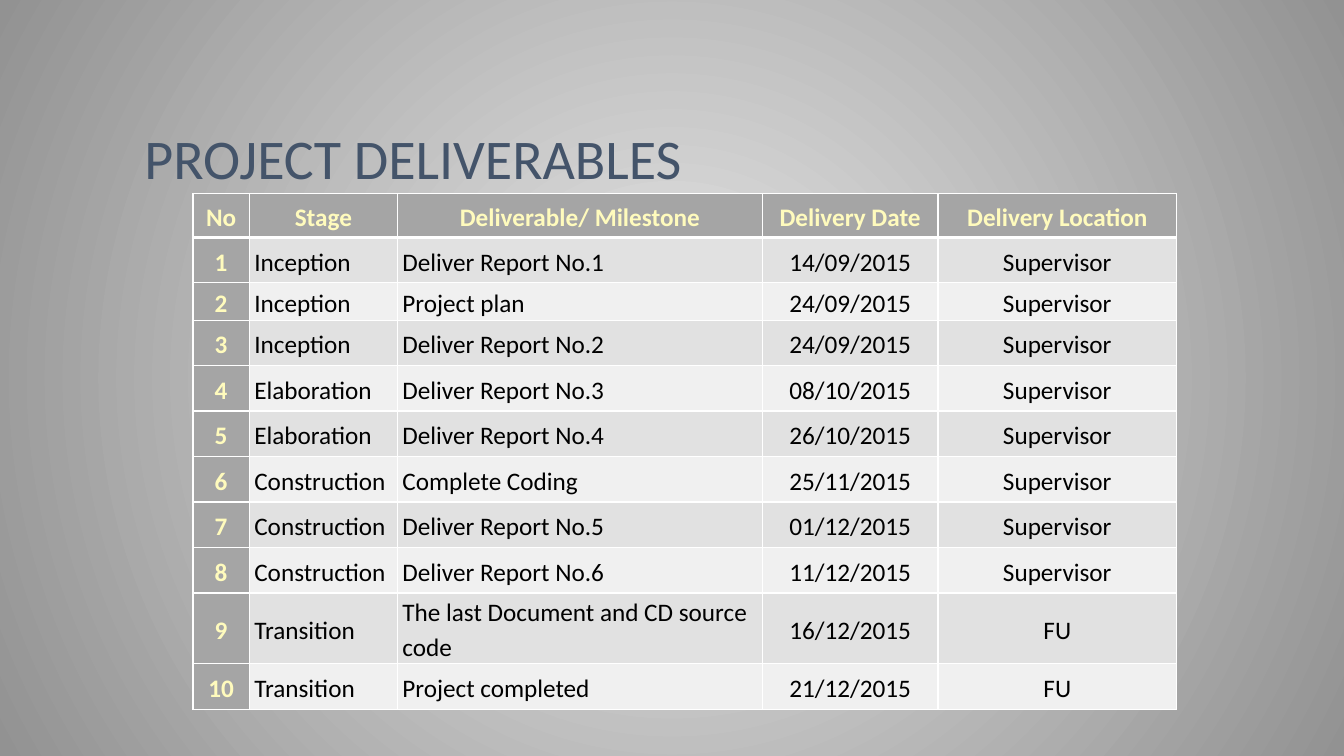
"""Builds the project deliverables slide."""
from lxml import etree
from pptx import Presentation
from pptx import util as u
from pptx.dml.color import RGBColor
from pptx.enum import text
from pptx.oxml import ns

FONT = "Calibri"
SLATE = RGBColor(0x44, 0x54, 0x6A)
CREAM = RGBColor(0xFF, 0xFB, 0xBD)
BLACK = RGBColor(0x00, 0x00, 0x00)
WHITE = RGBColor(0xFF, 0xFF, 0xFF)
GREY = RGBColor(0xA5, 0xA5, 0xA5)
BANDS = (RGBColor(0xF0, 0xF0, 0xF0), RGBColor(0xE1, 0xE1, 0xE1))
GLOW = (RGBColor(0xE8, 0xE8, 0xE8), RGBColor(0x92, 0x92, 0x92))

HEADER = ("No", "Stage", "Deliverable/ Milestone", "Delivery Date", "Delivery Location")
DELIVERABLES = (
    ("Inception", "Deliver Report No.1", "14/09/2015", "Supervisor"),
    ("Inception", "Project plan", "24/09/2015", "Supervisor"),
    ("Inception", "Deliver Report No.2", "24/09/2015", "Supervisor"),
    ("Elaboration", "Deliver Report No.3", "08/10/2015", "Supervisor"),
    ("Elaboration", "Deliver Report No.4", "26/10/2015", "Supervisor"),
    ("Construction", "Complete Coding", "25/11/2015", "Supervisor"),
    ("Construction", "Deliver Report No.5", "01/12/2015", "Supervisor"),
    ("Construction", "Deliver Report No.6", "11/12/2015", "Supervisor"),
    ("Transition", "The last Document and CD source code", "16/12/2015", "FU"),
    ("Transition", "Project completed", "21/12/2015", "FU"),
)
COLUMN_WIDTHS = (40.3, 105.8, 260.8, 125.3, 170.6)
LEFT_COLUMNS = (1, 2)
ROW_HEIGHT = 32.5
SPECIAL_HEIGHTS = {0: 31.2, 2: 26.6, 9: 50}


def paint_background(page):
    fill = page.background.fill
    fill.gradient()
    for stop, color in zip(fill.gradient_stops, GLOW):
        stop.color.rgb = color
    gradient = page.element.find(".//" + ns.qn("a:gradFill"))
    gradient.remove(gradient.find(ns.qn("a:lin")))
    circle = etree.SubElement(gradient, ns.qn("a:path"), path="circle")
    etree.SubElement(circle, ns.qn("a:fillToRect"), l="50000", t="50000", r="50000", b="50000")


def add_span(para, wording, size, color, bold=False):
    span = para.add_run()
    span.text = wording
    span.font.name = FONT
    span.font.size = u.Pt(size)
    span.font.bold = bold
    span.font.color.rgb = color


def set_title(page, wording):
    box = page.shapes.title
    box.left, box.top, box.width, box.height = (u.Pt(n) for n in (96, 18, 768, 122.4))
    frame = box.text_frame
    frame.auto_size = text.MSO_AUTO_SIZE.NONE
    frame.vertical_anchor = text.MSO_ANCHOR.BOTTOM
    para = frame.paragraphs[0]
    para.alignment = text.PP_ALIGN.LEFT
    para.line_spacing = 0.9
    add_span(para, wording, 40, SLATE)


def set_borders(cell, widths):
    properties = cell._tc.get_or_add_tcPr()
    for side, width in widths.items():
        line = etree.SubElement(properties, ns.qn("a:ln" + side), w=str(u.Pt(width)))
        solid = etree.SubElement(line, ns.qn("a:solidFill"))
        etree.SubElement(solid, ns.qn("a:srgbClr"), val=str(WHITE))


def fill_cell(cell, wording, row, column):
    is_header = row == 0
    is_label = is_header or column == 0
    set_borders(cell, {"L": 1, "R": 1, "T": 3 if row == 1 else 1, "B": 3 if is_header else 1})
    cell.fill.solid()
    cell.fill.fore_color.rgb = GREY if is_label else BANDS[row % 2]
    cell.margin_left = cell.margin_right = u.Pt(3.6)
    cell.margin_top = cell.margin_bottom = u.Pt(0)
    cell.vertical_anchor = text.MSO_ANCHOR.MIDDLE
    para = cell.text_frame.paragraphs[0]
    para.line_spacing = 1.15
    if is_header:
        para.space_before = para.space_after = u.Pt(6)
    is_left = column in LEFT_COLUMNS and not is_header
    para.alignment = text.PP_ALIGN.LEFT if is_left else text.PP_ALIGN.CENTER
    add_span(para, wording, 18, CREAM if is_label else BLACK, is_label)


def add_deliverables(page):
    rows = [HEADER] + [(str(n), *item) for n, item in enumerate(DELIVERABLES, 1)]
    heights = [SPECIAL_HEIGHTS.get(n, ROW_HEIGHT) for n in range(len(rows))]
    table = page.shapes.add_table(
        len(rows), len(HEADER), u.Pt(137.8), u.Pt(138.4),
        u.Pt(sum(COLUMN_WIDTHS)), u.Pt(sum(heights))).table
    table.horz_banding = False
    for column, width in zip(table.columns, COLUMN_WIDTHS):
        column.width = u.Pt(width)
    for row, (wordings, height) in enumerate(zip(rows, heights)):
        table.rows[row].height = u.Pt(height)
        for column, wording in enumerate(wordings):
            fill_cell(table.cell(row, column), wording, row, column)


def main():
    deck = Presentation()
    deck.slide_width, deck.slide_height = u.Pt(960), u.Pt(540)
    page = deck.slides.add_slide(deck.slide_layouts.get_by_name("Title Only"))
    paint_background(page)
    set_title(page, "PROJECT DELIVERABLES")
    add_deliverables(page)
    deck.save("out.pptx")


if __name__ == "__main__":
    main()
